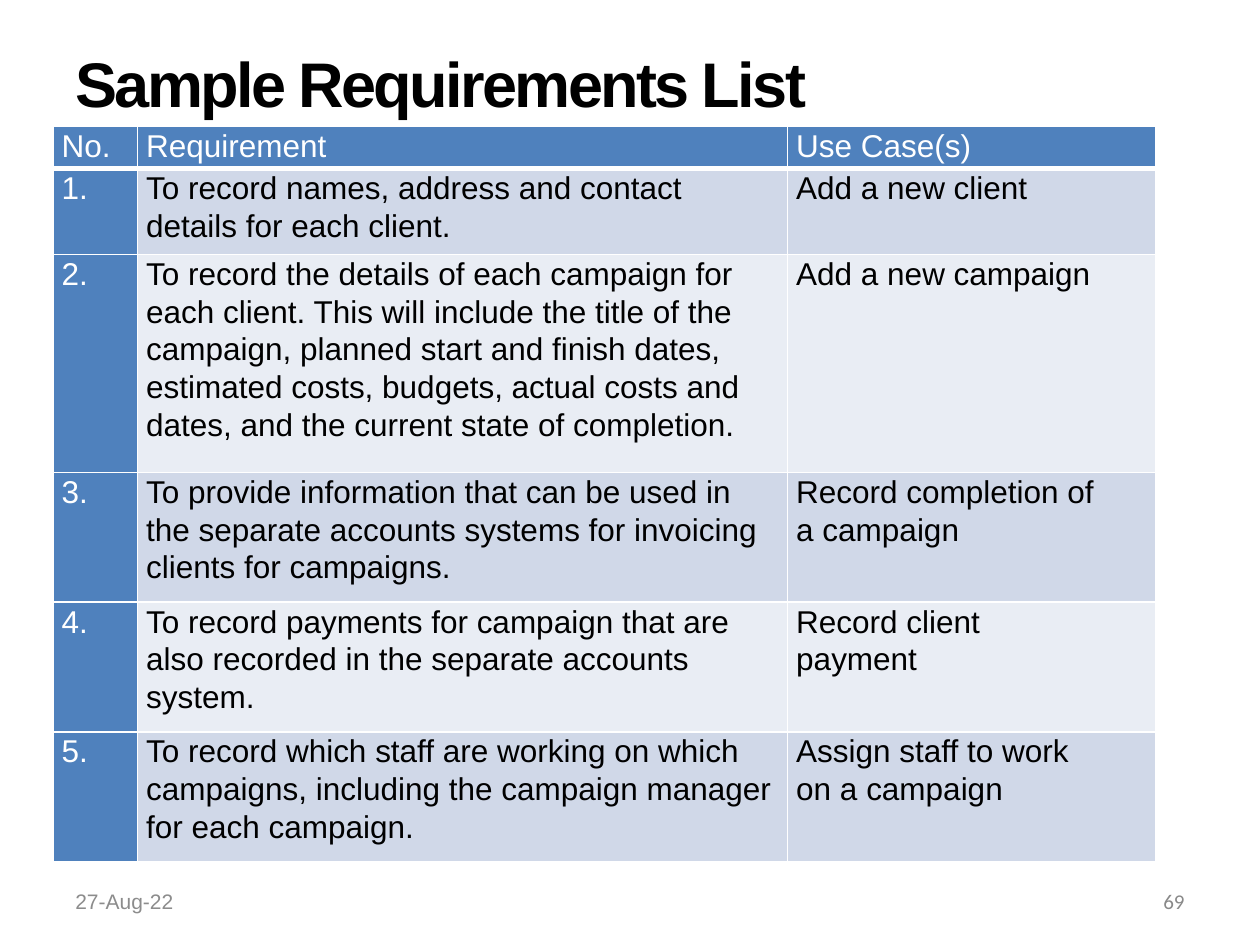
from dataclasses import dataclass

from lxml import etree
from pptx import Presentation
from pptx.dml.color import RGBColor
from pptx.enum import text
from pptx.oxml import ns
from pptx.util import Inches, Pt


@dataclass(frozen=True)
class Theme:
    font: str = "Arial"
    number_font: str = "Calibri"
    black: str = "000000"
    white: str = "FFFFFF"
    accent: str = "4F81BD"
    bands: tuple = ("D0D8E8", "E9EDF4")
    date_grey: str = "8C8C8C"
    number_grey: str = "898989"
    title_size: int = 36
    table_size: int = 18
    footer_size: int = 12


THEME = Theme()
COLUMN_WIDTHS = (0.67, 5.16, 2.92)
ROW_HEIGHTS = (0.34, 0.68, 1.73, 1.03, 1.03, 1.03)
HEADINGS = ("No.", "Requirement", "Use Case(s)")
REQUIREMENTS = (
    ("To record names, address and contact details for each client.",
     "Add a new client"),
    ("To record the details of each campaign for each client. This will "
     "include the title of the campaign, planned start and finish dates, "
     "estimated costs, budgets, actual costs and dates, and the current "
     "state of completion.",
     "Add a new campaign"),
    ("To provide information that can be used in the separate accounts "
     "systems for invoicing clients for campaigns.",
     "Record completion of\na campaign"),
    ("To record payments for campaign that are also recorded in the "
     "separate accounts system.",
     "Record client\npayment"),
    ("To record which staff are working on which campaigns, including the "
     "campaign manager for each campaign.",
     "Assign staff to work\non a campaign"),
)


def write_text(frame, content, size, color, font=THEME.font, bold=False,
               align=text.PP_ALIGN.LEFT, line_spacing=None, tracking=None):
    """Fill a text frame, one paragraph per line of content."""
    frame.word_wrap = True
    for index, line in enumerate(content.split("\n")):
        para = frame.add_paragraph() if index else frame.paragraphs[0]
        para.alignment = align
        if line_spacing:
            para.line_spacing = line_spacing
        span = para.add_run()
        span.text = line
        span.font.name = font
        span.font.size = Pt(size)
        span.font.bold = bold
        span.font.color.rgb = RGBColor.from_string(color)
        if tracking:
            span.font._element.set("spc", str(round(tracking * 100)))


def add_title(page, content):
    title = page.shapes.title
    title.left, title.top = Inches(0.5), Inches(0.3)
    title.width, title.height = Inches(9), Inches(0.7)
    title.text_frame.auto_size = text.MSO_AUTO_SIZE.NONE
    title.text_frame.vertical_anchor = text.MSO_ANCHOR.MIDDLE
    write_text(title.text_frame, content, THEME.title_size, THEME.black,
               bold=True, tracking=-1.5)


def add_footer(page, content, left, color, **text_format):
    box = page.shapes.add_textbox(Inches(left), Inches(6.95),
                                  Inches(2.33), Inches(0.4))
    box.text_frame.vertical_anchor = text.MSO_ANCHOR.MIDDLE
    write_text(box.text_frame, content, THEME.footer_size, color,
               **text_format)


def set_borders(cell, color, bottom=1):
    properties = cell._tc.get_or_add_tcPr()
    widths = {"lnL": 1, "lnR": 1, "lnT": 1, "lnB": bottom}
    for position, (side, width) in enumerate(widths.items()):
        line = etree.Element(ns.qn(f"a:{side}"), w=str(Pt(width)))
        fill = etree.SubElement(line, ns.qn("a:solidFill"))
        etree.SubElement(fill, ns.qn("a:srgbClr"), val=color)
        properties.insert(position, line)


def format_cell(cell, content, fill, color, bottom):
    cell.margin_left = cell.margin_right = Inches(0.07)
    cell.margin_top = cell.margin_bottom = 0
    cell.vertical_anchor = text.MSO_ANCHOR.TOP
    cell.fill.solid()
    cell.fill.fore_color.rgb = RGBColor.from_string(fill)
    set_borders(cell, THEME.white, bottom)
    write_text(cell.text_frame, content, THEME.table_size, color,
               line_spacing=1.07)


def add_requirements_table(page):
    rows = [HEADINGS] + [(f"{number}.", *entry) for number, entry
                         in enumerate(REQUIREMENTS, start=1)]
    table = page.shapes.add_table(
        len(rows), len(HEADINGS), Inches(0.42), Inches(1),
        Inches(sum(COLUMN_WIDTHS)), Inches(sum(ROW_HEIGHTS))).table
    for column, width in zip(table.columns, COLUMN_WIDTHS):
        column.width = Inches(width)
    for row, height in zip(table.rows, ROW_HEIGHTS):
        row.height = Inches(height)
    for r, entries in enumerate(rows):
        for c, content in enumerate(entries):
            is_heading = r == 0 or c == 0
            fill = THEME.accent if is_heading else THEME.bands[(r - 1) % 2]
            color = THEME.white if is_heading else THEME.black
            format_cell(table.cell(r, c), content, fill, color,
                        bottom=3 if r == 0 else 1)


def main():
    deck = Presentation()
    deck.slide_width, deck.slide_height = Inches(10), Inches(7.5)
    page = deck.slides.add_slide(deck.slide_layouts.get_by_name("Title Only"))
    add_title(page, "Sample Requirements List")
    add_footer(page, "27-Aug-22", 0.5, THEME.date_grey)
    add_footer(page, "69", 7.17, THEME.number_grey, font=THEME.number_font,
               align=text.PP_ALIGN.RIGHT)
    add_requirements_table(page)
    deck.save("out.pptx")


if __name__ == "__main__":
    main()
